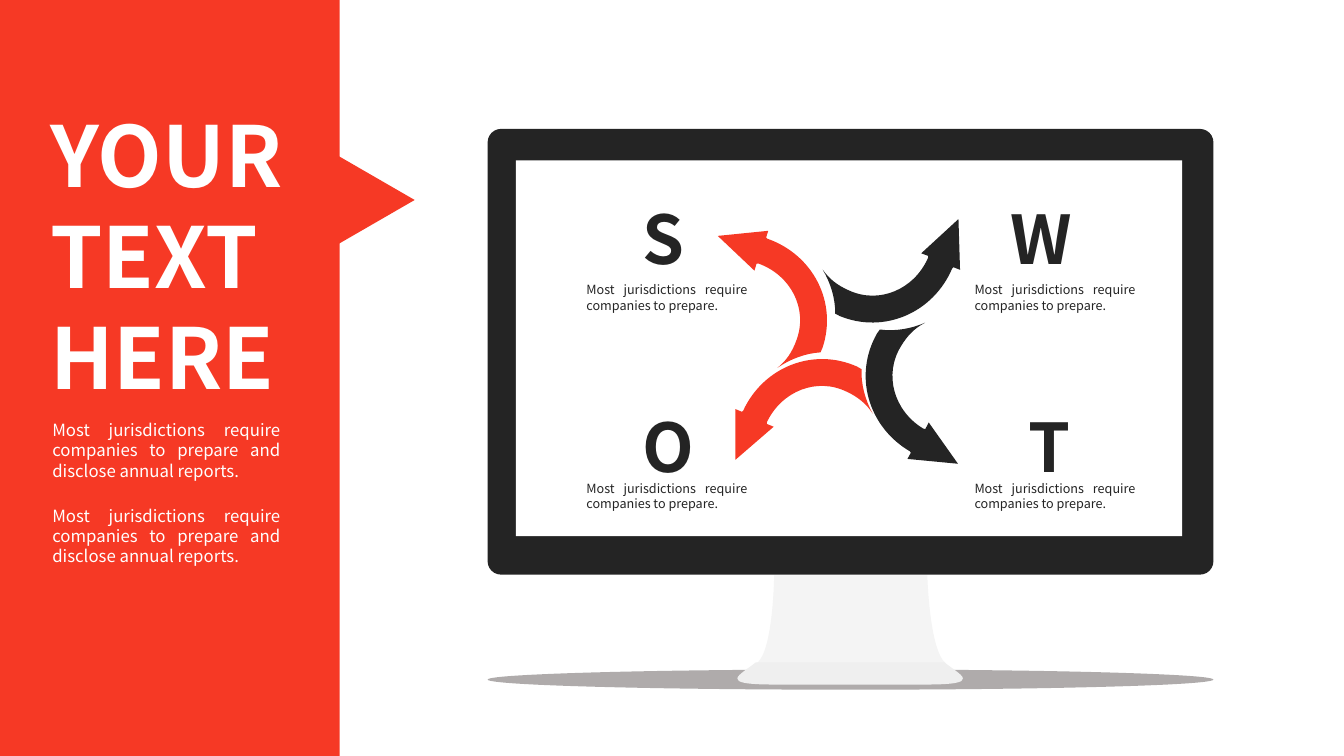
from itertools import chain

from lxml.etree import Element
from pptx import Presentation
from pptx.dml.color import RGBColor
from pptx.enum.shapes import MSO_SHAPE
from pptx.enum.text import MSO_AUTO_SIZE, PP_ALIGN
from pptx.oxml.ns import qn
from pptx.util import Cm, Pt

RED = RGBColor(0xF6, 0x39, 0x25)
DARK = RGBColor(0x24, 0x24, 0x24)
WHITE = RGBColor(0xFF, 0xFF, 0xFF)
SHADOW_GREY = RGBColor(0xAF, 0xAB, 0xAB)
NECK_GREY = RGBColor(0xF4, 0xF4, 0xF4)
FOOT_GREY = RGBColor(0xEF, 0xEF, 0xEF)

TEXT_FONT = "Noto Sans CJK SC"
LETTER_FONT = "Noto Sans CJK TC"

SIDE_TEXT = "Most jurisdictions require companies to prepare and disclose annual reports."
SWOT_TEXT = "Most jurisdictions require companies to prepare."

# Outlines in cm: a start point, then segments of one point (line) or three (curve).
NECK = (
    (4.29, 0),
    [
        [(0.43, 0)],
        [(0.43, 0), (0.41, 1.88), (0, 2.21)],
        [(4.75, 2.21)],
        [(4.34, 1.88), (4.29, 0), (4.29, 0)],
    ],
)
FOOT = (
    (5.74, 0),
    [
        [(0.99, 0)],
        [(0.58, 0.33), (0, 0.56), (1.45, 0.56)],
        [(5.28, 0.56)],
        [(6.73, 0.56), (6.15, 0.33), (5.74, 0)],
    ],
)
ARROW = (
    (1.83, 3.28),
    [
        [(1.8, 3.25)],
        [(0.64, 2.87), (0, 1.68), (0.36, 0.53)],
        [(0.41, 0.41)],
        [(0.79, 0.38), (1.17, 0.23), (1.49, 0)],
        [(1.27, 0.18), (1.12, 0.41), (1.02, 0.71)],
        [(0.74, 1.5), (1.19, 2.34), (2.01, 2.62)],
        [(2.06, 2.62)],
        [(2.11, 2.44)],
        [(3.05, 3.3)],
        [(1.78, 3.45)],
    ],
)

# letter, letter left, letter width, text left, arrow left, arrow top, turn, arrow colour
SWOT_ROWS = [
    (4.85, 6.99, [
        ("S", 15.93, 1.5, 14.53, 18.06, 5.82, 181, RED),
        ("W", 25.22, 2.29, 24.31, 20.93, 5.18, 274.9, DARK),
    ]),
    (10.08, 12, [
        ("O", 15.93, 1.91, 14.53, 18.75, 8.53, 96.7, RED),
        ("T", 25.68, 1.52, 24.31, 21.46, 8.1, 12.2, DARK),
    ]),
]


class SlideBuilder:
    def __init__(self, page):
        self.shapes = page.shapes

    def paint(self, shape, colour):
        shape.shadow.inherit = False
        shape.fill.solid()
        shape.fill.fore_color.rgb = colour
        shape.line.fill.background()
        return shape

    def block(self, kind, left, top, width, height, colour):
        """Add a preset shape in one flat colour."""
        shape = self.shapes.add_shape(kind, Cm(left), Cm(top), Cm(width), Cm(height))
        return self.paint(shape, colour)

    def outline(self, figure, left, top, colour):
        """Add a closed outline; three-point segments become Bezier curves."""
        start, segments = figure
        builder = self.shapes.build_freeform(Cm(start[0]), Cm(start[1]))
        builder.add_line_segments([(Cm(x), Cm(y)) for x, y in chain(*segments)])
        shape = builder.convert_to_shape(Cm(left), Cm(top))
        lines = iter(list(shape._element.iter(qn("a:lnTo"))))
        for segment in segments:
            steps = [next(lines) for _ in segment]
            if len(steps) == 3:
                curve = Element(qn("a:cubicBezTo"))
                steps[0].addprevious(curve)
                for step in steps:
                    curve.append(step[0])
                    step.getparent().remove(step)
        return self.paint(shape, colour)

    def text(self, words, left, top, width, height, size, colour,
             font=TEXT_FONT, bold=False, align=PP_ALIGN.LEFT, wrap=True):
        box = self.shapes.add_textbox(Cm(left), Cm(top), Cm(width), Cm(height))
        frame = box.text_frame
        frame.word_wrap = wrap
        frame.auto_size = MSO_AUTO_SIZE.SHAPE_TO_FIT_TEXT
        para = frame.paragraphs[0]
        para.text = words
        para.alignment = align
        para.font.name = font
        para.font.size = Pt(size)
        para.font.bold = bold
        para.font.color.rgb = colour


def add_monitor(builder):
    builder.block(MSO_SHAPE.OVAL, 12.29, 16.87, 18.29, 0.51, SHADOW_GREY)
    case = builder.block(MSO_SHAPE.ROUNDED_RECTANGLE, 12.29, 3.25, 18.29, 11.23, DARK)
    case.adjustments[0] = 0.03
    builder.block(MSO_SHAPE.RECTANGLE, 13, 4.04, 16.79, 9.47, WHITE)
    builder.outline(NECK, 19.08, 14.5, NECK_GREY)
    builder.outline(FOOT, 18.06, 16.69, FOOT_GREY)


def add_side_panel(builder):
    builder.block(MSO_SHAPE.RECTANGLE, 0, 0, 8.56, 19.05, RED)
    pointer = builder.block(MSO_SHAPE.ISOSCELES_TRIANGLE, 7.8, 3.81, 2.84, 2.46, RED)
    pointer.rotation = 90
    builder.text("YOUR TEXT HERE", 1.02, 2.49, 8.18, 7.95, 60, WHITE, bold=True)
    for top in (10.46, 12.62):
        builder.text(SIDE_TEXT, 1.07, top, 6.25, 1.8, 12, WHITE, align=PP_ALIGN.JUSTIFY)


def add_swot(builder):
    for letter_top, text_top, entries in SWOT_ROWS:
        for letter, left, width, text_left, arrow_left, arrow_top, turn, colour in entries:
            arrow = builder.outline(ARROW, arrow_left, arrow_top, colour)
            arrow.rotation = turn
            builder.text(letter, left, letter_top, width, 2.31, 48, DARK,
                         font=LETTER_FONT, bold=True, wrap=False)
            builder.text(SWOT_TEXT, text_left, text_top, 4.55, 1.02, 9, DARK,
                         align=PP_ALIGN.JUSTIFY)


def main():
    deck = Presentation()
    deck.slide_width = Cm(33.87)
    deck.slide_height = Cm(19.05)
    builder = SlideBuilder(deck.slides.add_slide(deck.slide_layouts[6]))
    add_monitor(builder)
    add_side_panel(builder)
    add_swot(builder)
    deck.save("out.pptx")


if __name__ == "__main__":
    main()
